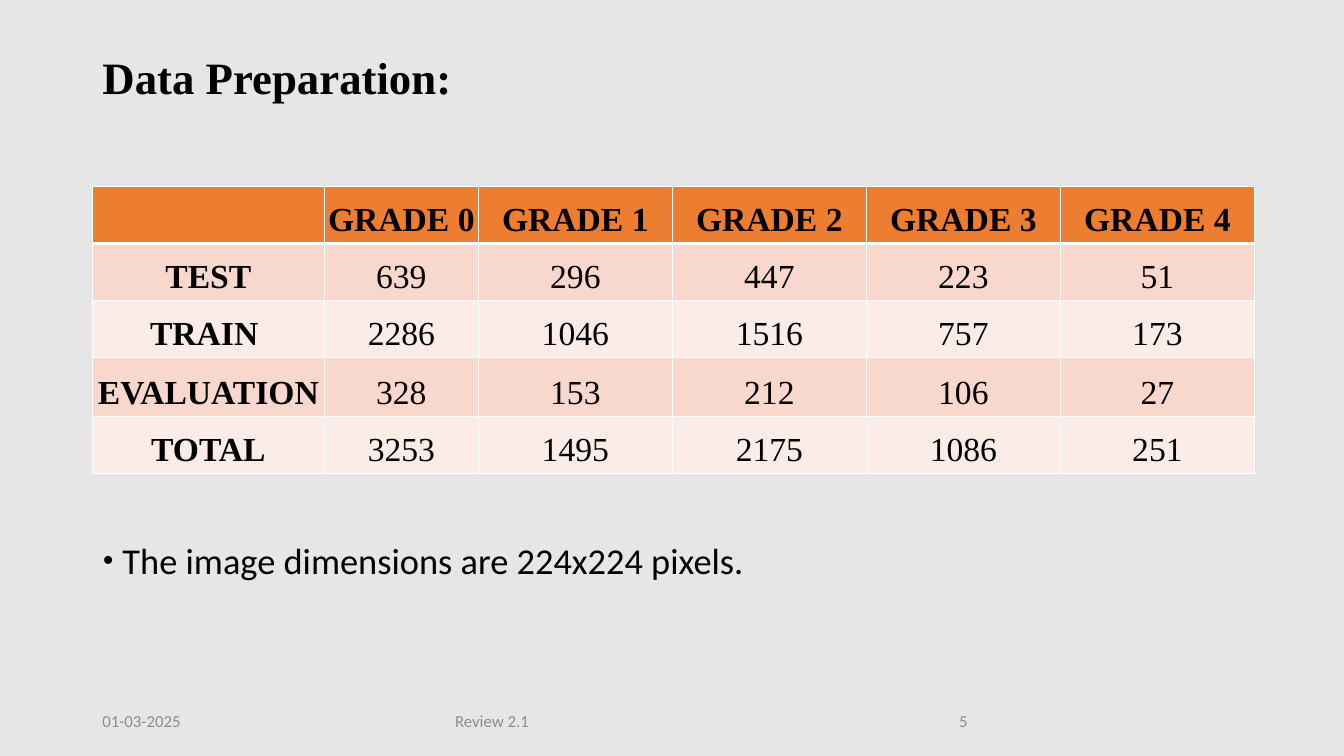
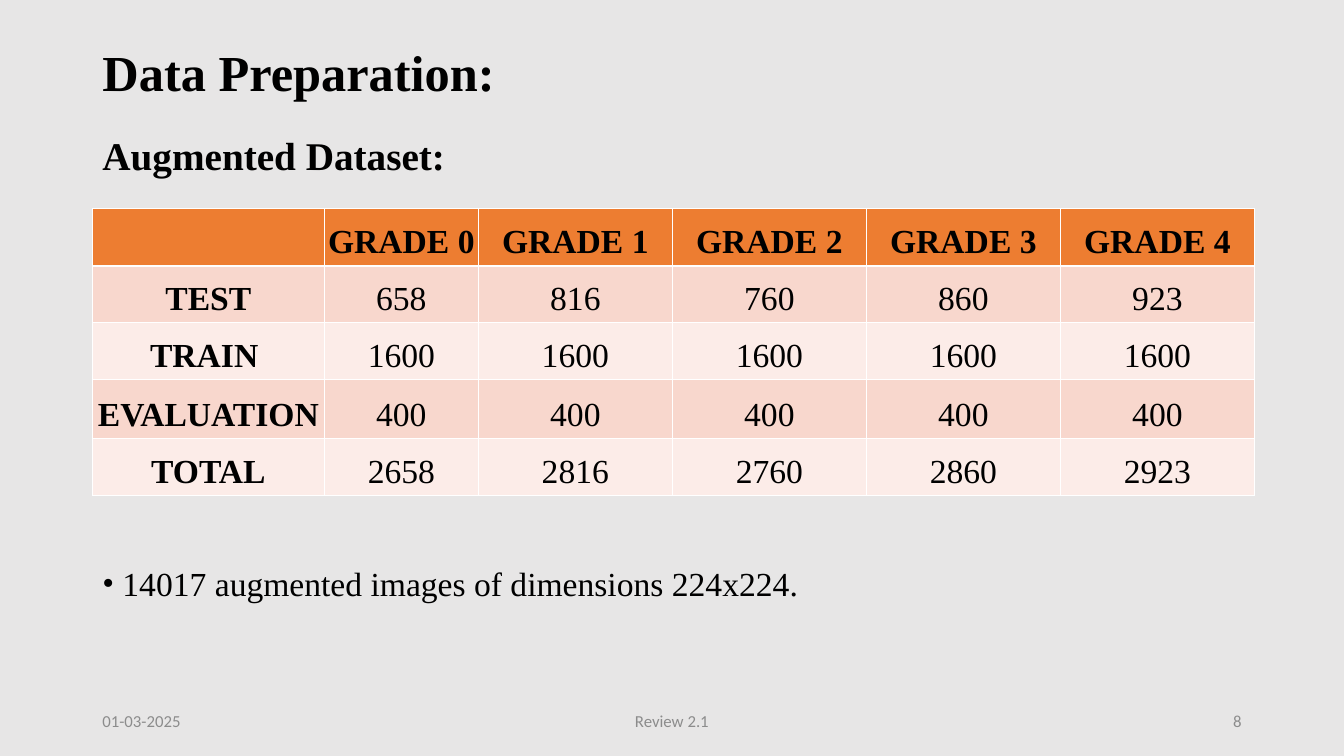
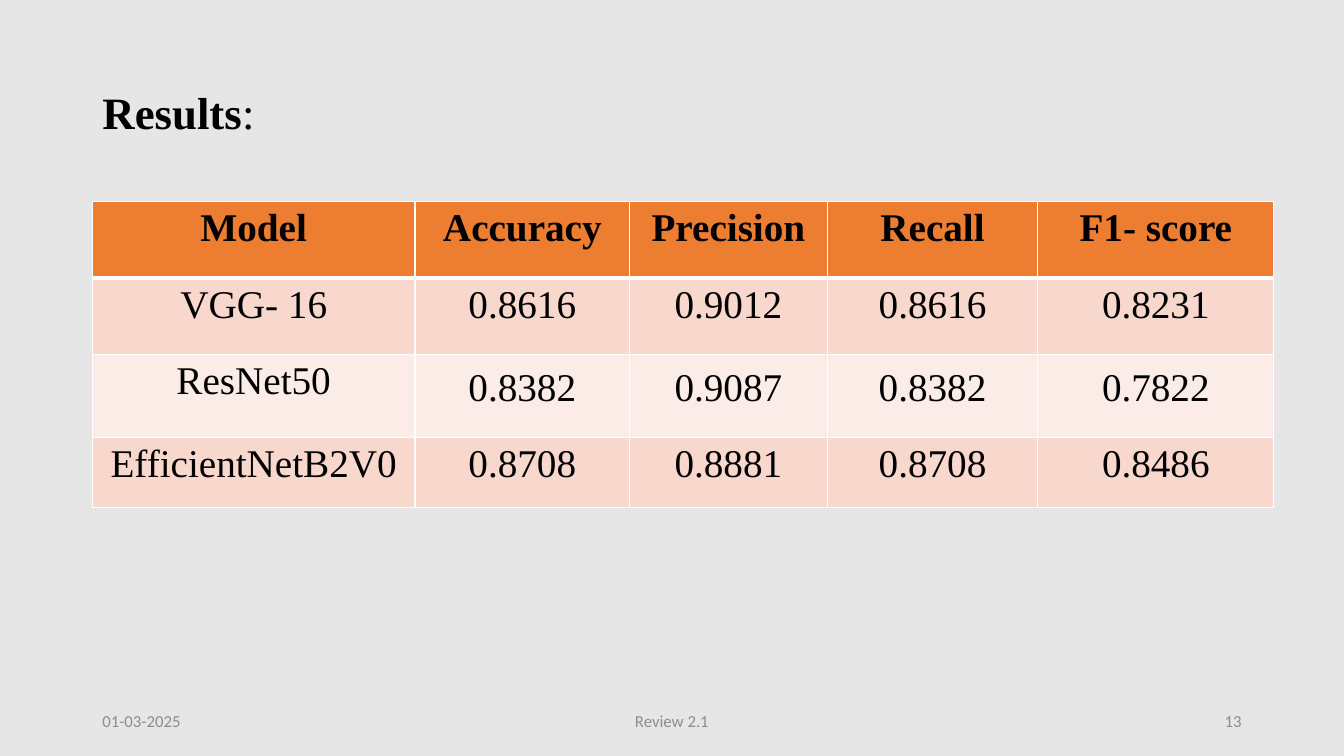
from dataclasses import dataclass

from lxml.etree import SubElement
from pptx import Presentation
from pptx.dml.color import RGBColor
from pptx.enum.text import MSO_ANCHOR as Anchor, MSO_AUTO_SIZE as AutoSize, PP_ALIGN as Align
from pptx.oxml.ns import qn
from pptx.util import Pt

BACKGROUND = RGBColor(0xE7, 0xE6, 0xE6)
BLACK = RGBColor(0, 0, 0)
WHITE = RGBColor(0xFF, 0xFF, 0xFF)
GREY = RGBColor(0x8C, 0x8C, 0x8C)
ORANGE = RGBColor(0xED, 0x7D, 0x31)
BANDS = RGBColor(0xF8, 0xD7, 0xCD), RGBColor(0xFC, 0xEC, 0xE8)

SERIF = "Times New Roman"
SANS = "Calibri"
LEFT = 66
TITLE_BOX = LEFT, 28.8, 828, 104.4
FOOTER_TOP, FOOTER_HEIGHT = 500.4, 28.8
GRADE_COLUMNS = [165.7, 110] + [138.6] * 4
GRADE_ROWS = [40.8, 40.8, 40.8, 42, 40.8]
GRADE_HEADER = [""] + [f"GRADE {grade}" for grade in range(5)]
GRADE_LABELS = ["TEST", "TRAIN ", "EVALUATION", "TOTAL"]


@dataclass
class TableStyle:
    """Text size, border widths and cell layout of a table."""
    size: float
    line: float
    header_line: float
    anchor: Anchor
    margins: tuple
    bold_labels: bool


GRADE_STYLE = TableStyle(24, 0.75, 1.92, Anchor.BOTTOM, (0.72, 0.72, 0.72, 3.6), True)
RESULT_STYLE = TableStyle(28, 1, 3, Anchor.TOP, (7.2, 3.6, 7.2, 3.6), False)


def add_span(para, text, size, font=SERIF, color=BLACK, bold=False):
    """Add one formatted run to a paragraph."""
    span = para.add_run()
    span.text = text
    span.font.size = Pt(size)
    span.font.name = font
    span.font.bold = bold
    span.font.color.rgb = color


def set_margins(target, margins):
    """Set the left, top, right and bottom margins of a cell or frame."""
    for side, margin in zip(("left", "top", "right", "bottom"), margins):
        setattr(target, f"margin_{side}", Pt(margin))


def add_title(slide, box, lines, gap=0, bottom=3.6):
    """Place the title; each line is a list of (text, size, bold) runs."""
    title = slide.shapes.title
    title.left, title.top, title.width, title.height = map(Pt, box)
    frame = title.text_frame
    frame.word_wrap = True
    frame.auto_size = AutoSize.NONE
    frame.vertical_anchor = Anchor.MIDDLE
    set_margins(frame, (7.2, 3.6, 7.2, bottom))
    for index, runs in enumerate(lines):
        para = frame.add_paragraph() if index else frame.paragraphs[0]
        para.alignment = Align.LEFT
        para.line_spacing = 0.9
        para.space_before = Pt(gap if index else 0)
        for text, size, bold in runs:
            add_span(para, text, size, bold=bold)


def set_borders(cell, top, bottom, side):
    """Draw white lines of the given widths around a cell."""
    properties = cell._tc.get_or_add_tcPr()
    for tag, width in (("lnL", side), ("lnR", side), ("lnT", top), ("lnB", bottom)):
        line = SubElement(properties, qn(f"a:{tag}"), w=str(int(Pt(width))))
        SubElement(SubElement(line, qn("a:solidFill")), qn("a:srgbClr"), val=str(WHITE))


def add_grid(slide, left, top, columns, heights, rows, style):
    """Place a table with a header row and banded body, and return it."""
    frame = slide.shapes.add_table(len(rows), len(columns), Pt(left), Pt(top),
                                   Pt(sum(columns)), Pt(sum(heights)))
    table = frame.table
    table.horz_banding = False
    for column, width in zip(table.columns, columns):
        column.width = Pt(width)
    for number, (row, height, texts) in enumerate(zip(table.rows, heights, rows)):
        row.height = Pt(height)
        for index, (cell, text) in enumerate(zip(row.cells, texts)):
            set_borders(cell, style.header_line if number == 1 else style.line,
                        style.header_line if number == 0 else style.line, style.line)
            cell.fill.solid()
            cell.fill.fore_color.rgb = BANDS[(number - 1) % 2] if number else ORANGE
            cell.vertical_anchor = style.anchor
            set_margins(cell, style.margins)
            para = cell.text_frame.paragraphs[0]
            para.alignment = Align.CENTER
            if text:
                bold = number == 0 or (index == 0 and style.bold_labels)
                add_span(para, text, style.size, bold=bold)
    return table


def add_text_box(slide, box):
    """Add a wrapping text box and return its frame and first paragraph."""
    frame = slide.shapes.add_textbox(*map(Pt, box)).text_frame
    frame.word_wrap = True
    return frame, frame.paragraphs[0]


def add_bullet(slide, box, text, size, font):
    """Place a one-line bulleted note below the table."""
    frame, para = add_text_box(slide, box)
    set_margins(frame, (7.2, 33, 7.2, 3.6))
    properties = para._p.get_or_add_pPr()
    indent = int(Pt(14.4))
    properties.set("marL", str(indent))
    properties.set("indent", str(-indent))
    SubElement(properties, qn("a:buSzPct"), val=str(round(24 / size * 100) * 1000))
    SubElement(properties, qn("a:buFont"), typeface=SERIF)
    SubElement(properties, qn("a:buChar"), char="•")
    add_span(para, text, size, font)


def add_footer(slide, top, number, spread=True):
    """Place date, review name and slide number along the bottom."""
    parts = (
        (LEFT, 216, "01-03-2025", Align.LEFT),
        (318, 324, "Review 2.1", Align.CENTER),
        (678, 216, str(number), Align.RIGHT),
    )
    for left, width, text, alignment in parts:
        frame, para = add_text_box(slide, (left, top, width, FOOTER_HEIGHT))
        frame.vertical_anchor = Anchor.MIDDLE
        para.alignment = alignment if spread else Align.LEFT
        add_span(para, text, 12, SANS, GREY)


def add_grade_table(slide, top, counts):
    """Place the image counts by grade and subset."""
    rows = [GRADE_HEADER] + [[label, *map(str, values)]
                             for label, values in zip(GRADE_LABELS, counts)]
    add_grid(slide, LEFT, top, GRADE_COLUMNS, GRADE_ROWS, rows, GRADE_STYLE)


def build_original_data(slide):
    """Build the slide on the collected images."""
    add_title(slide, TITLE_BOX, [[("Data Preparation:", 32, True)]], bottom=52)
    add_grade_table(slide, 133.2, [
        (639, 296, 447, 223, 51),
        (2286, 1046, 1516, 757, 173),
        (328, 153, 212, 106, 27),
        (3253, 1495, 2175, 1086, 251),
    ])
    add_bullet(slide, (LEFT, 351.4, 789, 68),
               "The image dimensions are 224x224 pixels.", 26, SANS)
    add_footer(slide, FOOTER_TOP, 5, spread=False)


def build_augmented_data(slide):
    """Build the slide on the augmented images."""
    add_title(slide, TITLE_BOX, [[("Data Preparation:", 36, True)],
                                 [("Augmented Dataset:", 28, True)]], gap=25)
    add_grade_table(slide, 149, [
        (658, 816, 760, 860, 923),
        [1600] * 5,
        [400] * 5,
        (2658, 2816, 2760, 2860, 2923),
    ])
    add_bullet(slide, (LEFT, 369.4, 789, 68),
               "14017 augmented images of dimensions 224x224.", 24, SERIF)
    add_footer(slide, FOOTER_TOP, 8)


def build_results(slide):
    """Build the slide comparing the models."""
    add_title(slide, (LEFT, 65.4, 817, 34), [[("Results", 32, True), (":", 32, False)]])
    table = add_grid(slide, LEFT, 144, [230.4, 153.4, 141.1, 150.5, 168.5],
                     [54.7, 54.7, 59, 50.4], [
        ("Model", "Accuracy", "Precision", "Recall", "F1- score"),
        ("VGG- 16", "0.8616", "0.9012", "0.8616", "0.8231"),
        ("ResNet50", "0.8382", "0.9087", "0.8382", "0.7822"),
        ("EfficientNetB2V0", "0.8708", "0.8881", "0.8708", "0.8486"),
    ], RESULT_STYLE)
    for cell in list(table.rows[2].cells)[1:]:
        set_margins(cell, (4.3, 21, 4.3, 2.2))
        cell.text_frame.paragraphs[0].line_spacing = Pt(18.8)
    add_footer(slide, FOOTER_TOP, 13)


def main():
    """Build and save the deck."""
    deck = Presentation()
    deck.slide_width, deck.slide_height = Pt(960), Pt(540)
    fill = deck.slide_master.background.fill
    fill.solid()
    fill.fore_color.rgb = BACKGROUND
    for build in (build_original_data, build_augmented_data, build_results):
        build(deck.slides.add_slide(deck.slide_layouts[5]))
    deck.save("out.pptx")


if __name__ == "__main__":
    main()
